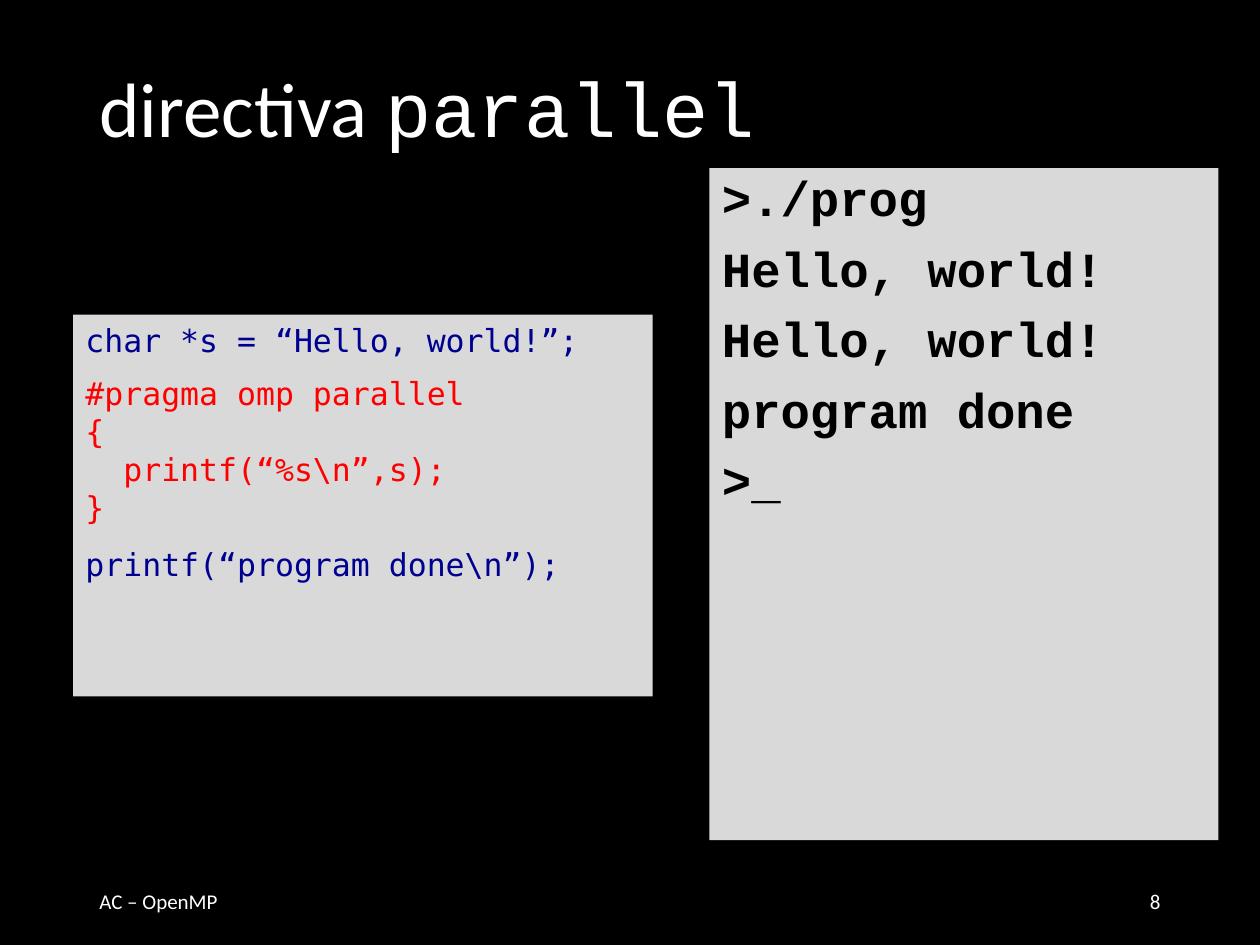
"""Build the slide on the OpenMP parallel directive."""
from lxml import etree
from pptx import Presentation
from pptx import util as u
from pptx.dml.color import RGBColor
from pptx.enum import text
from pptx.oxml.ns import qn

WIDTH, HEIGHT = 10, 7.5
BLACK, WHITE, PANEL, NAVY, RED = "000000", "FFFFFF", "D9D9D9", "000090", "FF0000"
SANS, MONO, CODE = "Calibri", "Courier New", "DejaVu Sans Mono"

TITLE = [("directiva ", SANS), ("parallel", MONO)]
OUTPUT = [">./prog", "Hello, world!", "Hello, world!", "program done", ">_"]
# Each line of code: wording, colour, space before, space after
LISTING = [
    ("char *s = “Hello, world!”;", NAVY, 0, 9),
    ("#pragma omp parallel", RED, 0, 0),
    ("{", RED, 0, 0),
    ("  printf(“%s\\n”,s);", RED, 0, 0),
    ("}", RED, 0, 0),
    ("printf(“program done\\n”);", NAVY, 11, 0),
]
FOOTER = [
    ("AC – OpenMP", 0.069, text.PP_ALIGN.LEFT),
    ("8", 0.706, text.PP_ALIGN.RIGHT),
]
TITLE_AREA = (0.069, 0.053, 0.862, 0.132)
OUTPUT_AREA = (0.563, 0.178, 0.404, 0.711)
LISTING_AREA = (0.058, 0.333, 0.46, 0.404)
FOOTER_TOP, FOOTER_WIDTH, FOOTER_HEIGHT = 0.927, 0.225, 0.053


def paint(fill, colour):
    fill.solid()
    fill.fore_color.rgb = RGBColor.from_string(colour)


def style(font, name, size, colour, bold=False):
    font.name, font.size, font.bold = name, u.Pt(size), bold
    paint(font.fill, colour)


def place(shape, area, anchor):
    left, top, width, height = area
    shape.left, shape.width = u.Inches(left * WIDTH), u.Inches(width * WIDTH)
    shape.top, shape.height = u.Inches(top * HEIGHT), u.Inches(height * HEIGHT)
    frame = shape.text_frame
    frame.word_wrap = True
    frame.auto_size = text.MSO_AUTO_SIZE.NONE
    frame.vertical_anchor = anchor
    return frame


def add_box(slide, area, anchor):
    shape = slide.shapes.add_textbox(0, 0, 0, 0)
    return shape, place(shape, area, anchor)


def fill_lines(frame, lines):
    frame.text = "\n".join(lines)
    return frame.paragraphs


def remove_bullet(paragraph):
    properties = paragraph._p.get_or_add_pPr()
    properties.set("marL", "0")
    properties.set("indent", "0")
    etree.SubElement(properties, qn("a:buNone"))


def add_title(slide):
    frame = place(slide.shapes.title, TITLE_AREA, text.MSO_ANCHOR.MIDDLE)
    paragraph = frame.paragraphs[0]
    paragraph.alignment = text.PP_ALIGN.LEFT
    paragraph.line_spacing = 0.9
    for wording, name in TITLE:
        run = paragraph.add_run()
        run.text = wording
        style(run.font, name, 44, WHITE)


def add_output(slide):
    body = slide.placeholders[1]
    paint(body.fill, PANEL)
    frame = place(body, OUTPUT_AREA, text.MSO_ANCHOR.TOP)
    for index, paragraph in enumerate(fill_lines(frame, OUTPUT)):
        remove_bullet(paragraph)
        paragraph.line_spacing = 0.9
        paragraph.space_before = u.Pt(10 if index else 0)
        style(paragraph.font, MONO, 28, BLACK, bold=True)


def add_listing(slide):
    shape, frame = add_box(slide, LISTING_AREA, text.MSO_ANCHOR.TOP)
    paint(shape.fill, PANEL)
    paragraphs = fill_lines(frame, [line[0] for line in LISTING])
    for paragraph, (_, colour, before, after) in zip(paragraphs, LISTING):
        paragraph.space_before, paragraph.space_after = u.Pt(before), u.Pt(after)
        style(paragraph.font, CODE, 18, colour)


def add_footer(slide):
    for wording, left, alignment in FOOTER:
        area = (left, FOOTER_TOP, FOOTER_WIDTH, FOOTER_HEIGHT)
        _, frame = add_box(slide, area, text.MSO_ANCHOR.MIDDLE)
        paragraph = fill_lines(frame, [wording])[0]
        paragraph.alignment = alignment
        style(paragraph.font, SANS, 12, WHITE)


def main():
    presentation = Presentation()
    presentation.slide_width = u.Inches(WIDTH)
    presentation.slide_height = u.Inches(HEIGHT)
    slide = presentation.slides.add_slide(presentation.slide_layouts[1])
    paint(slide.background.fill, BLACK)
    add_title(slide)
    add_output(slide)
    add_footer(slide)
    add_listing(slide)
    presentation.save("out.pptx")


if __name__ == "__main__":
    main()
